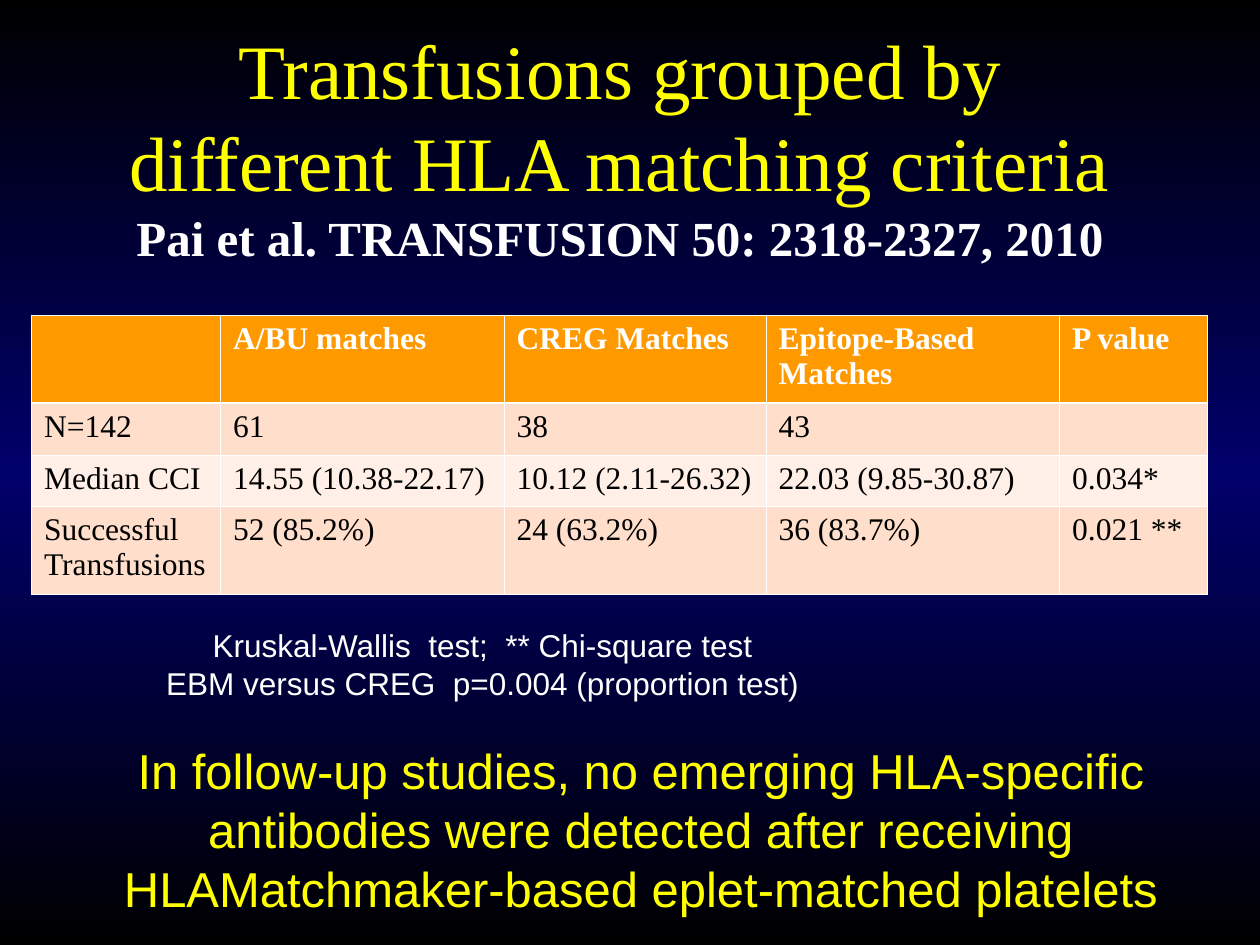
"""Build a slide comparing platelet transfusions grouped by HLA matching criteria."""
import copy

from lxml import etree
from pptx import Presentation
from pptx import util as u
from pptx.dml import color
from pptx.enum import text
from pptx.oxml import ns

SERIF, SANS = "Times New Roman", "Arial"
YELLOW, WHITE, BLACK = "FFFF00", "FFFFFF", "000000"
BACKGROUND = [(0, BLACK), (0.5, "00006A"), (1, BLACK)]
LINE_HEIGHT = 1.2

TITLE = [
    ("Transfusions grouped by different HLA matching criteria", 44, SERIF, YELLOW, False),
    ("Pai et al. TRANSFUSION 50: 2318-2327, 2010", 28, SERIF, WHITE, True),
]
TESTS = [
    ("Kruskal-Wallis  test;  ** Chi-square test", 18, SANS, WHITE, False),
    ("EBM versus CREG  p=0.004 (proportion test)", 18, SANS, WHITE, False),
]
CONCLUSION = [
    ("In follow-up studies, no emerging HLA-specific antibodies were detected after "
     "receiving HLAMatchmaker-based eplet-matched platelets", 28, SANS, YELLOW, False),
]
RESULTS = [
    ["", "A/BU matches", "CREG Matches", "Epitope-Based Matches", "P value"],
    ["N=142", "61", "38", "43", ""],
    ["Median CCI", "14.55 (10.38-22.17)", "10.12 (2.11-26.32)", "22.03 (9.85-30.87)", "0.034*"],
    ["Successful Transfusions", "52 (85.2%)", "24 (63.2%)", "36 (83.7%)", "0.021 **"],
]
COLUMN_WIDTHS = [1.5, 2.25, 2.08, 2.33, 1.17]
ROW_HEIGHTS = [0.7, 0.41, 0.41, 0.7]
ROW_FILLS = ["FF9900", "FFDECB", "FFEFE7", "FFDECB"]
THIN, THICK = 0.45, 1.47


def rgb(value):
    return color.RGBColor.from_string(value)


def format_runs(paragraph, size, font, value, bold):
    for run in paragraph.runs:
        run.font.size = u.Pt(size)
        run.font.name = font
        run.font.bold = bold
        run.font.color.rgb = rgb(value)


def paint_background(slide):
    fill = slide.background.fill
    fill.gradient()
    fill.gradient_angle = 90
    stop_list = fill._fill._gradFill.find(ns.qn("a:gsLst"))
    stop_list.append(copy.deepcopy(stop_list[-1]))
    for stop, (position, value) in zip(fill.gradient_stops, BACKGROUND):
        stop.position = position
        stop.color.rgb = rgb(value)


def add_text(slide, place, lines, wrap=True):
    shape = slide.shapes.add_textbox(*map(u.Inches, place))
    frame = shape.text_frame
    frame.word_wrap = wrap
    frame.text = "\n".join(line[0] for line in lines)
    for paragraph, (_, size, font, value, bold) in zip(frame.paragraphs, lines):
        paragraph.alignment = text.PP_ALIGN.CENTER
        paragraph.line_spacing = u.Pt(size * LINE_HEIGHT)
        format_runs(paragraph, size, font, value, bold)
    return frame


def add_border(cell, side, width):
    properties = cell._tc.get_or_add_tcPr()
    line = etree.SubElement(properties, ns.qn(f"a:ln{side}"), w=str(u.Pt(width)))
    fill = etree.SubElement(line, ns.qn("a:solidFill"))
    etree.SubElement(fill, ns.qn("a:srgbClr"), val=WHITE)


def add_results(slide, left, top):
    size = sum(COLUMN_WIDTHS), sum(ROW_HEIGHTS)
    place = map(u.Inches, (left, top, *size))
    table = slide.shapes.add_table(len(RESULTS), len(COLUMN_WIDTHS), *place).table
    for column, width in zip(table.columns, COLUMN_WIDTHS):
        column.width = u.Inches(width)
    for index, (row, height) in enumerate(zip(table.rows, ROW_HEIGHTS)):
        row.height = u.Inches(height)
        header = index == 0
        borders = {"L": THIN, "R": THIN, "T": THICK if index == 1 else THIN,
                   "B": THICK if header else THIN}
        for cell, content in zip(row.cells, RESULTS[index]):
            for side, width in borders.items():
                add_border(cell, side, width)
            cell.fill.solid()
            cell.fill.fore_color.rgb = rgb(ROW_FILLS[index])
            cell.text_frame.text = content
            format_runs(cell.text_frame.paragraphs[0], 18, SERIF,
                        WHITE if header else BLACK, header)


def main():
    presentation = Presentation()
    presentation.slide_width, presentation.slide_height = u.Inches(10), u.Inches(7.5)
    slide = presentation.slides.add_slide(presentation.slide_layouts[6])
    paint_background(slide)
    title = add_text(slide, (0.67, 0.5, 8.5, 1.75), TITLE)
    title.vertical_anchor = text.MSO_ANCHOR.BOTTOM
    title.margin_left = title.margin_right = u.Inches(0.2)
    title.margin_bottom = u.Inches(0.14)
    add_results(slide, 0.25, 2.5)
    add_text(slide, (1.22, 4.92, 5.22, 0.7), TESTS, wrap=False)
    add_text(slide, (0.17, 5.83, 9.83, 1.5), CONCLUSION)
    presentation.save("out.pptx")


if __name__ == "__main__":
    main()
